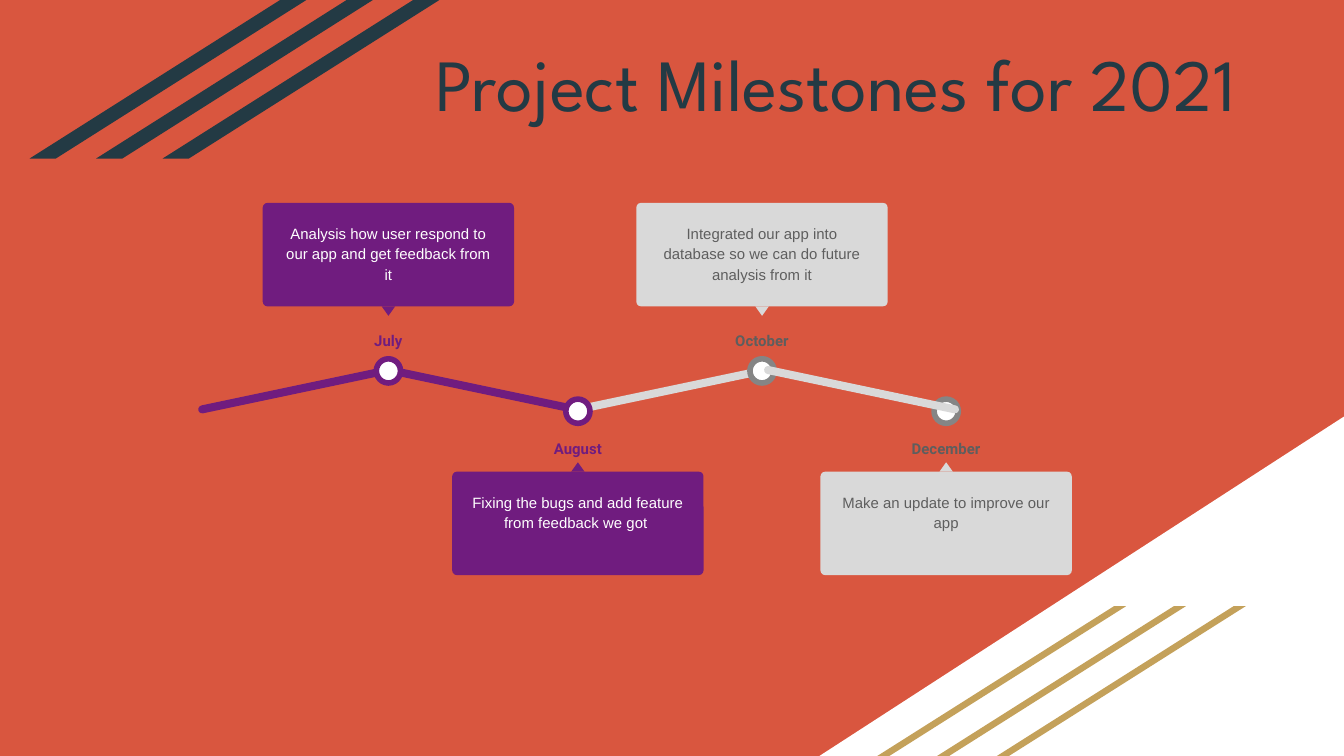
from pptx import Presentation
from pptx.dml.color import RGBColor
from pptx.enum.shapes import MSO_SHAPE as SHAPE
from pptx.enum.text import MSO_ANCHOR as ANCHOR, PP_ALIGN as ALIGN
from pptx.util import Inches, Pt

ORANGE = RGBColor(0xD9, 0x56, 0x3F)
NAVY = RGBColor(0x23, 0x3A, 0x44)
GOLD = RGBColor(0xC4, 0xA1, 0x5A)
PURPLE = RGBColor(0x70, 0x1C, 0x7F)
LIGHT = RGBColor(0xD9, 0xD9, 0xD9)
GRAY = RGBColor(0x85, 0x85, 0x85)
DARK = RGBColor(0x5E, 0x5E, 0x5E)
WHITE = RGBColor(0xFF, 0xFF, 0xFF)

# Fill, ring, label and text colours of a milestone
DONE = (PURPLE, PURPLE, PURPLE, WHITE)
PLANNED = (LIGHT, GRAY, DARK, DARK)


class Deck:
    """Holds the timeline style and the current slide."""

    card_w, card_h = 1.87, 0.77
    text_w, text_h = 1.78, 0.68
    label_w, label_h = 0.76, 0.3
    tip_w, tip_h = 0.1, 0.07
    dot, dot_turn = 0.18, -29.8
    bar_w, bar_h, bar_y, tilt = 1.48, 0.06, 2.87, 11.9
    # Tops of card, text, tip, label and dot
    above = (1.51, 1.55, 2.28, 2.35, 2.67)
    below = (3.51, 3.55, 3.44, 3.15, 2.97)

    def __init__(self, prs, background):
        self.s = prs.slides.add_slide(prs.slide_layouts[6])
        fill = self.s.background.fill
        fill.solid()
        fill.fore_color.rgb = background

    def shape(self, kind, x, y, w, h, color, adj=None, rot=0, ring=None):
        sp = self.s.shapes.add_shape(kind, Inches(x), Inches(y), Inches(w), Inches(h))
        sp.shadow.inherit = False
        sp.fill.solid()
        sp.fill.fore_color.rgb = color
        if ring is None:
            sp.line.fill.background()
        else:
            sp.line.color.rgb = ring
            sp.line.width = Pt(3)
        if adj is not None:
            sp.adjustments[0] = adj
        sp.rotation = rot
        return sp

    def text(self, text, x, y, w, h, font, size, color, bold=False,
             anchor=ANCHOR.TOP, spacing=1.15, bottom=0.1):
        tf = self.s.shapes.add_textbox(Inches(x), Inches(y), Inches(w), Inches(h)).text_frame
        tf.word_wrap = True
        tf.vertical_anchor = anchor
        tf.margin_left = tf.margin_right = tf.margin_top = Inches(0.1)
        tf.margin_bottom = Inches(bottom)
        p = tf.paragraphs[0]
        p.alignment = ALIGN.CENTER
        p.line_spacing = spacing
        r = p.add_run()
        r.text = text
        r.font.name, r.font.size, r.font.bold = font, Pt(size), bold
        r.font.color.rgb = color

    def stripes(self, x, y, w, h, step, color):
        for i in reversed(range(3)):
            self.shape(SHAPE.PARALLELOGRAM, x + i * step, y, w, h, color, 1.58)

    def bar(self, x, color, rising):
        self.shape(SHAPE.ROUNDED_RECTANGLE, x, self.bar_y, self.bar_w, self.bar_h,
                   color, 0.5, -self.tilt if rising else self.tilt)

    def milestone(self, cx, month, text, style, above):
        fill, ring, label, ink = style
        card_y, text_y, tip_y, label_y, dot_y = self.above if above else self.below
        self.shape(SHAPE.OVAL, cx - self.dot / 2, dot_y, self.dot, self.dot,
                   WHITE, rot=self.dot_turn, ring=ring)
        self.text(month, cx - self.label_w / 2, label_y, self.label_w, self.label_h,
                  "Roboto", 8, label, bold=True, bottom=0)
        self.shape(SHAPE.ROUNDED_RECTANGLE, cx - self.card_w / 2, card_y,
                   self.card_w, self.card_h, fill, 0.045)
        self.shape(SHAPE.ISOSCELES_TRIANGLE, cx - self.tip_w / 2, tip_y,
                   self.tip_w, self.tip_h, fill, rot=180 if above else 0)
        self.text(text, cx - self.text_w / 2, text_y, self.text_w, self.text_h,
                  "Arial", 8, ink)


def main():
    prs = Presentation()
    # Widescreen, 16:9
    prs.slide_width = Inches(10)
    prs.slide_height = Inches(10) * 9 // 16
    deck = Deck(prs, ORANGE)

    # White corner, right angle at bottom right
    corner = deck.shape(SHAPE.RIGHT_TRIANGLE, 6.09, 3.1, 3.91, 2.53, WHITE)
    corner.element.spPr.xfrm.set("flipH", "1")

    # Diagonal stripes
    deck.stripes(6.52, 4.51, 1.86, 1.12, 0.445, GOLD)
    deck.stripes(0.22, 0, 2.06, 1.18, 0.495, NAVY)

    # Title, raised by its bottom margin
    deck.text("Project Milestones for 2021", 2.38, 0, 7.67, 1.51, "League Spartan",
              39.4, NAVY, anchor=ANCHOR.MIDDLE, spacing=1, bottom=0.39)

    # Timeline, from back to front
    deck.bar(4.26, LIGHT, rising=True)
    deck.milestone(5.67, "October", "Integrated our app into database so we can do "
                   "future analysis from it", PLANNED, above=True)
    deck.bar(2.85, PURPLE, rising=False)
    deck.milestone(4.3, "August", "Fixing the bugs and add feature from feedback we got ",
                   DONE, above=False)
    deck.bar(1.46, PURPLE, rising=True)
    deck.milestone(7.04, "December", "Make an update to improve our app",
                   PLANNED, above=False)
    deck.bar(5.67, LIGHT, rising=False)
    deck.milestone(2.89, "July", "Analysis how user respond to our app and get "
                   "feedback from it", DONE, above=True)

    prs.save("out.pptx")


if __name__ == "__main__":
    main()
